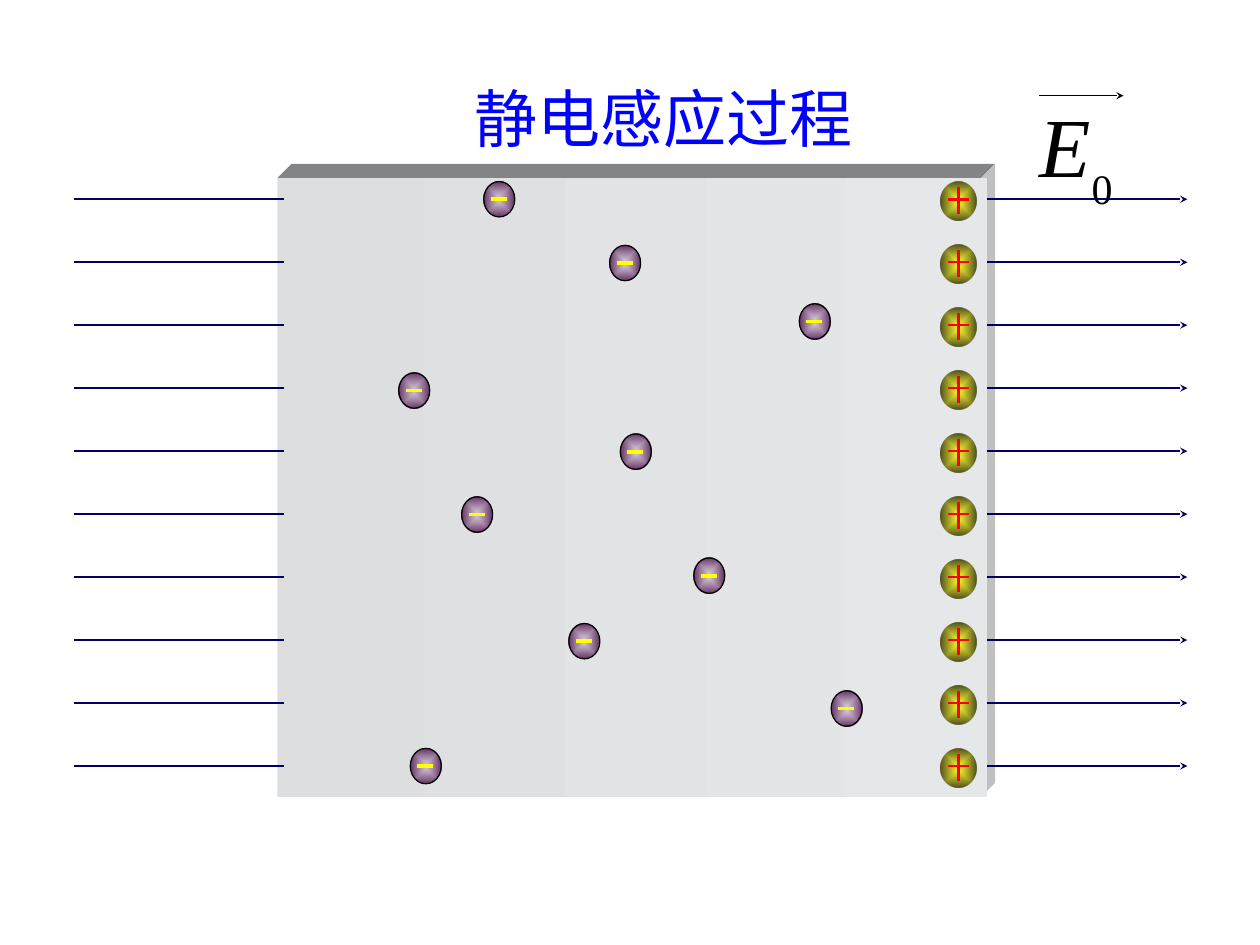
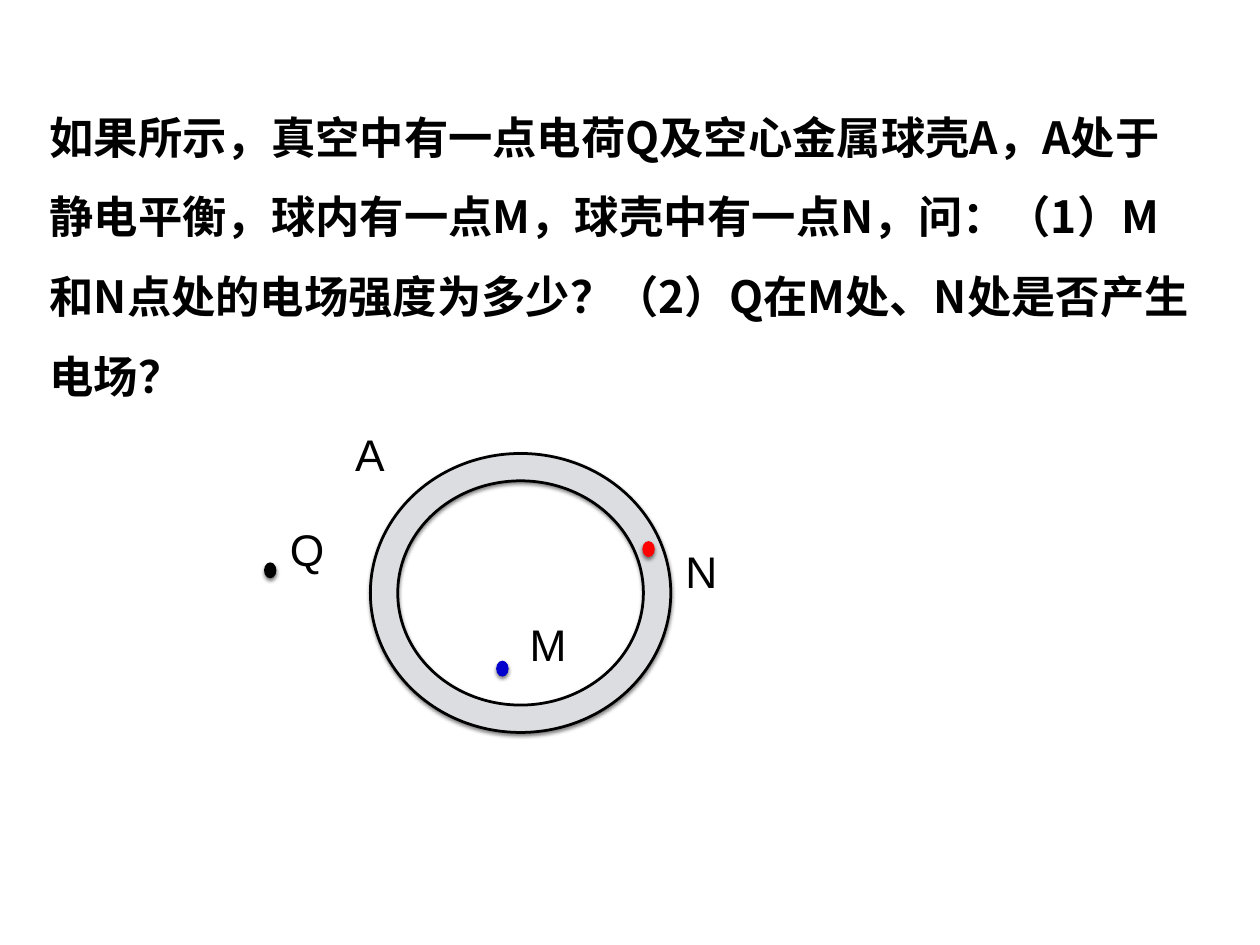
from lxml import etree
from pptx import Presentation
from pptx import util as u
from pptx.dml.color import RGBColor
from pptx.enum import shapes, text
from pptx.oxml.ns import qn

NAVY, BLACK, RED, STEEL = "000066", "000000", "FF0000", "DCDEE0"
SERIF, SANS, HAN = "Times New Roman", "Arial", "Noto Sans CJK SC"
SHAPE = shapes.MSO_SHAPE


def rgb(code):
    return RGBColor.from_string(code)


def sub(node, tag, **attrs):
    """Append a child element and return it."""
    return etree.SubElement(node, qn(tag), **{k: str(v) for k, v in attrs.items()})


class Deck:
    def __init__(self, wide, high):
        self.prs = Presentation()
        self.prs.slide_width = u.Inches(wide)
        self.prs.slide_height = u.Inches(high)

    def page(self):
        self.slide = self.prs.slides.add_slide(self.prs.slide_layouts[6])
        self.pool = self.slide.shapes

    def group(self):
        """Send the elements that follow into a new group."""
        self.pool = self.slide.shapes.add_group_shape().shapes

    def ungroup(self):
        self.pool = self.slide.shapes

    def paint(self, item, fill, edge=None, width=1):
        item.shadow.inherit = False
        if fill:
            item.fill.solid()
            item.fill.fore_color.rgb = rgb(fill)
        if edge:
            item.line.color.rgb = rgb(edge)
            item.line.width = u.Pt(width)
        else:
            item.line.fill.background()
        return item

    def shape(self, kind, x, y, w, h, fill=None, edge=None, width=1):
        item = self.pool.add_shape(kind, *map(u.Inches, (x, y, w, h)))
        return self.paint(item, fill, edge, width)

    def area(self, points, fill):
        pts = [(u.Inches(x), u.Inches(y)) for x, y in points]
        pen = self.pool.build_freeform(*pts[0])
        pen.add_line_segments(pts[1:], close=True)
        return self.paint(pen.convert_to_shape(), fill)

    def line(self, x1, y1, x2, y2, color, width, arrow=False):
        item = self.pool.add_connector(
            shapes.MSO_CONNECTOR.STRAIGHT, *map(u.Inches, (x1, y1, x2, y2)))
        item.line.color.rgb = rgb(color)
        item.line.width = u.Pt(width)
        props = item._element.spPr
        if arrow:
            sub(props.find(qn("a:ln")), "a:tailEnd", type="stealth")
        sub(props, "a:effectLst")

    def blend(self, item, *colors):
        """Fill from left to right with two colours."""
        item.fill.gradient()
        item.fill.gradient_angle = 0
        for stop, color in zip(item.fill.gradient_stops, colors):
            stop.color.rgb = rgb(color)

    def glow(self, item, *stops):
        """Fill from the centre outwards; each stop is (colour, opacity %)."""
        self.blend(item, *(color for color, _ in stops))
        grad = item._element.spPr.find(qn("a:gradFill"))
        for node, (_, alpha) in zip(grad.iter(qn("a:srgbClr")), stops):
            sub(node, "a:alpha", val=alpha * 1000)
        grad.remove(grad.find(qn("a:lin")))
        sub(sub(grad, "a:path", path="shape"), "a:fillToRect",
            l=50000, t=50000, r=50000, b=50000)

    def shade(self, item):
        """Cast a soft shadow straight down."""
        cast = sub(item._element.spPr.find(qn("a:effectLst")), "a:outerShdw",
                   blurRad=u.Pt(3), dist=u.Pt(2), dir=5400000, rotWithShape=0)
        sub(sub(cast, "a:srgbClr", val=BLACK), "a:alpha", val=50000)

    def text(self, words, x, y, w, h, size, font, color=BLACK, pad=(0.14, 0.07),
             wrap=False, mid=False, center=False, bold=False, italic=False, space=None):
        frame = self.pool.add_textbox(*map(u.Inches, (x, y, w, h))).text_frame
        frame.margin_left = frame.margin_right = u.Inches(pad[0])
        frame.margin_top = frame.margin_bottom = u.Inches(pad[1])
        frame.word_wrap = wrap
        frame.auto_size = text.MSO_AUTO_SIZE.SHAPE_TO_FIT_TEXT
        if mid:
            frame.vertical_anchor = text.MSO_ANCHOR.MIDDLE
        frame.text = words
        para = frame.paragraphs[0]
        if center:
            para.alignment = text.PP_ALIGN.CENTER
        if space:
            para.line_spacing = space
        run = para.runs[0]
        run.font.size, run.font.name = u.Pt(size), font
        run.font.bold, run.font.italic = bold, italic
        run.font.color.rgb = rgb(color)
        sub(run._r.get_or_add_rPr(), "a:ea", typeface=font)

    def minus(self, x, y):
        """Electron centred on (x, y)."""
        self.group()
        ball = self.shape(SHAPE.OVAL, x - 0.17, y - 0.2, 0.35, 0.4, edge=BLACK)
        self.glow(ball, ("854585", 20), ("5F315F", 100))
        self.line(x - 0.09, y, x + 0.09, y, "FFFF00", 3)

    def plus(self, x, y):
        """Positive charge whose horizontal bar lies on (x, y)."""
        self.group()
        ball = self.shape(SHAPE.OVAL, x - 0.21, y - 0.2, 0.41, 0.44)
        self.glow(ball, ("FFFF00", 80), ("393900", 86))
        self.line(x - 0.12, y, x + 0.12, y, RED, 2)
        self.line(x, y - 0.14, x, y + 0.17, RED, 2)

    def dot(self, x, y, color):
        self.shade(self.shape(SHAPE.OVAL, x, y, 0.14, 0.18, color))


def induction(deck):
    deck.page()
    left, top, wide, high, deep = 3.13, 2.01, 7.94, 6.99, 0.16
    right, base = left + wide, top + high
    deck.area([(left, top), (left + deep, top - deep),
               (right + deep, top - deep), (right, top)], "838486")
    deck.area([(right, top), (right + deep, top - deep),
               (right + deep, base - deep), (right, base)], "C0C0C0")
    back = deck.shape(SHAPE.RECTANGLE, left, top, wide, high)
    deck.blend(back, STEEL, "FFFFFF")

    rows = [2.25 + 0.711 * i for i in range(10)]
    deck.group()
    for y in rows:
        deck.line(0.83, y, 13.4, y, NAVY, 1.75, arrow=True)
    deck.ungroup()
    front = deck.shape(SHAPE.RECTANGLE, 3.2, top, wide, high)
    deck.blend(front, STEEL, "E6E7E9")

    for x, y in [(5.63, 2.25), (7.05, 2.97), (9.19, 3.63), (4.67, 4.41),
                 (7.17, 5.1), (5.38, 5.81), (8, 6.5), (6.59, 7.24),
                 (9.55, 8), (4.8, 8.65)]:
        deck.minus(x, y)
    deck.ungroup()
    deck.text("静电感应过程", 5.21, 0.83, 4.6, 1.01, 51.2, "TeX Gyre Bonum", "0000FF")
    deck.group()
    deck.text("E", 11.59, 0.99, 0.87, 1.29, 68.3, SERIF, italic=True)
    deck.text("0", 12.18, 1.77, 0.53, 0.72, 34.1, SERIF)
    deck.line(11.73, 1.08, 12.68, 1.08, BLACK, 1, arrow=True)
    for y in rows:
        deck.plus(10.82, y)


def shell(deck):
    deck.page()
    deck.text("如果所示，真空中有一点电荷Q及空心金属球壳A，A处于静电平衡，球内有一点M，"
              "球壳中有一点N，问：（1）M和N点处的电场强度为多少？（2）Q在M处、N处是否产生电场？",
              0.5, 1.32, 12.99, 2.84, 36, HAN, pad=(0.06, 0.06), wrap=True,
              mid=True, bold=True, space=1.5)
    deck.group()
    ring = deck.shape(SHAPE.DONUT, 4.18, 5.12, 3.39, 3.15, "DCDDE0", BLACK, 2.25)
    ring.adjustments[0] = 0.098
    deck.shade(ring)
    for x, y, color in [(5.6, 7.46, "0000CC"), (7.25, 6.11, RED), (2.98, 6.35, BLACK)]:
        deck.dot(x, y, color)
    for name, x, y in [("N", 7.56, 6.09), ("Q", 3.11, 5.84),
                       ("A", 3.82, 4.76), ("M", 5.83, 6.91)]:
        deck.text(name, x, y, 0.71, 0.72, 36, SANS, pad=(0.06, 0.06),
                  wrap=True, mid=True, center=True)


def main():
    deck = Deck(14.22, 10.67)
    induction(deck)
    shell(deck)
    deck.prs.save("out.pptx")


if __name__ == "__main__":
    main()
